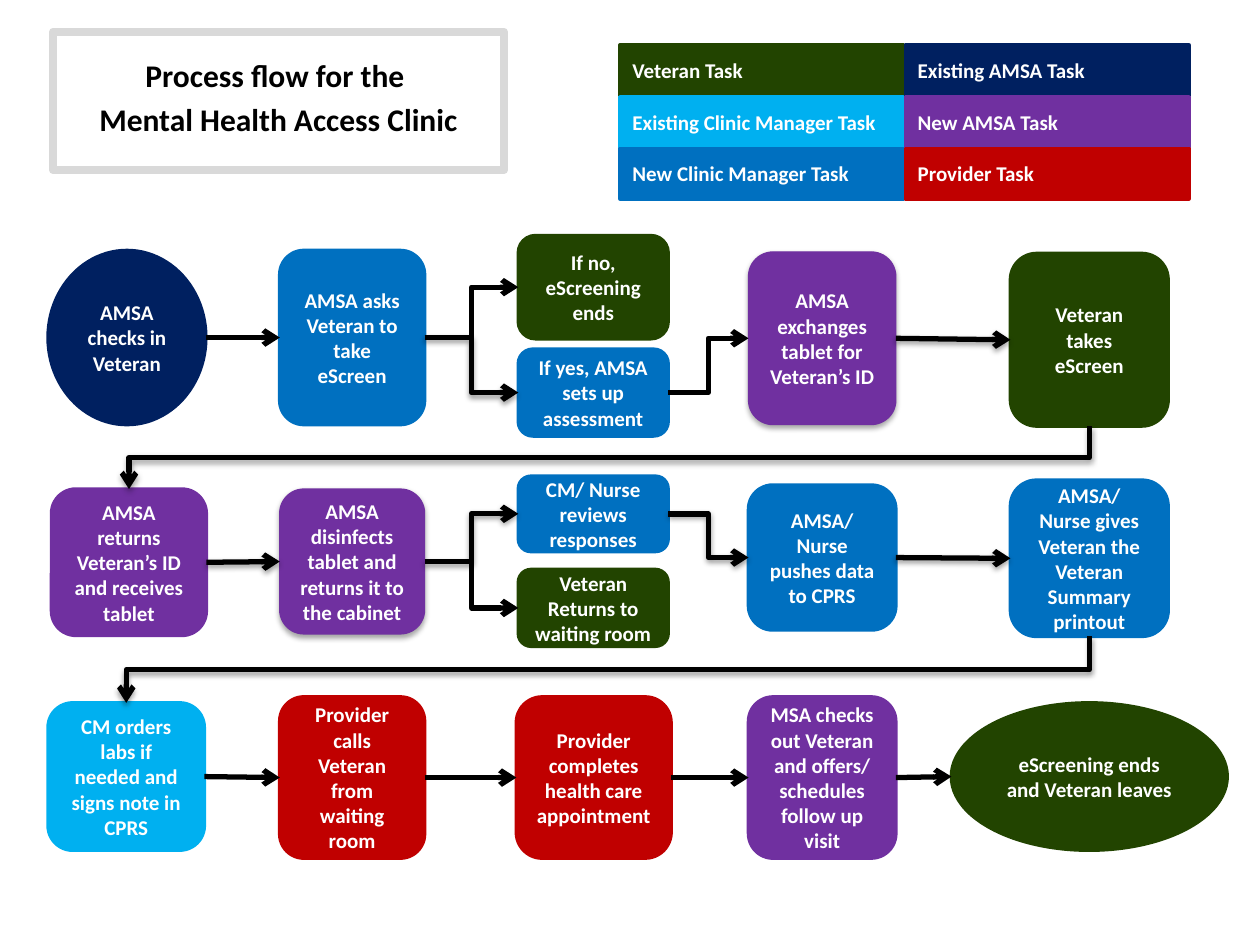
from dataclasses import dataclass

from lxml import etree
from pptx import Presentation
from pptx.dml.color import RGBColor
from pptx.enum.shapes import MSO_CONNECTOR, MSO_SHAPE
from pptx.enum.text import MSO_ANCHOR, MSO_AUTO_SIZE, PP_ALIGN
from pptx.oxml.ns import qn
from pptx.util import Cm, Pt

RECT, ROUND, OVAL = MSO_SHAPE.RECTANGLE, MSO_SHAPE.ROUNDED_RECTANGLE, MSO_SHAPE.OVAL
STRAIGHT, ELBOW = MSO_CONNECTOR.STRAIGHT, MSO_CONNECTOR.ELBOW
LEFT, CENTER = PP_ALIGN.LEFT, PP_ALIGN.CENTER
TOP_ANCHOR, MIDDLE = MSO_ANCHOR.TOP, MSO_ANCHOR.MIDDLE
NO_FIT = MSO_AUTO_SIZE.NONE
TOP, WEST, BOTTOM, EAST = range(4)


@dataclass(frozen=True)
class Theme:
    """Colours, font and type sizes of the slide."""
    veteran: str = "224400"
    old_amsa: str = "002060"
    new_amsa: str = "7030A0"
    old_manager: str = "00B0F0"
    new_manager: str = "0070C0"
    provider: str = "C00000"
    ink: str = "000000"
    paper: str = "FFFFFF"
    frame: str = "D9D9D9"
    font: str = "Calibri"
    title_size: int = 18
    label_size: int = 12


THEME = Theme()

LEGEND = [
    [("Veteran Task", THEME.veteran), ("Existing AMSA Task", THEME.old_amsa)],
    [("Existing Clinic Manager Task", THEME.old_manager), ("New AMSA Task", THEME.new_amsa)],
    [("New Clinic Manager Task", THEME.new_manager), ("Provider Task", THEME.provider)],
]

STEPS = {
    "check_in": (OVAL, 0.97, 5.05, 3.18, 3.51, THEME.old_amsa, "AMSA checks in Veteran"),
    "ask": (ROUND, 5.64, 5.05, 2.92, 3.51, THEME.new_manager, "AMSA asks Veteran to take eScreen"),
    "no": (ROUND, 10.45, 4.75, 3.02, 2.08, THEME.veteran, "If no, eScreening ends"),
    "yes": (ROUND, 10.45, 7.04, 3.02, 1.75, THEME.new_manager, "If yes, AMSA sets up assessment"),
    "exchange": (ROUND, 15.09, 5.08, 2.97, 3.48, THEME.new_amsa,
                 "AMSA exchanges tablet for Veteran’s ID"),
    "take": (ROUND, 20.37, 5.11, 3.18, 3.48, THEME.veteran, "Veteran takes eScreen"),
    "return": (ROUND, 1.04, 9.86, 3.12, 2.95, THEME.new_amsa,
               "AMSA returns Veteran’s ID and receives tablet"),
    "disinfect": (ROUND, 5.64, 9.86, 2.92, 2.92, THEME.new_amsa,
                  "AMSA disinfects tablet and returns it to the cabinet"),
    "review": (ROUND, 10.45, 9.6, 3.02, 1.52, THEME.new_manager, "CM/ Nurse reviews responses"),
    "wait": (ROUND, 10.45, 11.48, 3.02, 1.55, THEME.veteran, "Veteran Returns to waiting room"),
    "push": (ROUND, 15.09, 9.78, 2.97, 2.92, THEME.new_manager, "AMSA/ Nurse pushes data to CPRS"),
    "summary": (ROUND, 20.37, 9.68, 3.18, 3.15, THEME.new_manager,
                "AMSA/ Nurse gives Veteran the Veteran Summary printout"),
    "labs": (ROUND, 0.97, 14.17, 3.15, 2.97, THEME.old_manager,
             "CM orders labs if needed and signs note in CPRS"),
    "call": (ROUND, 5.64, 14.05, 2.92, 3.25, THEME.provider,
             "Provider calls Veteran from waiting room"),
    "complete": (ROUND, 10.41, 14.05, 3.12, 3.25, THEME.provider,
                 "Provider completes health care appointment"),
    "check_out": (ROUND, 15.09, 14.05, 2.97, 3.25, THEME.new_amsa,
                  "MSA checks out Veteran and offers/ schedules follow up visit"),
    "leave": (OVAL, 19.18, 14.17, 5.56, 2.97, THEME.veteran, "eScreening ends and Veteran leaves"),
}
SHADED_STEPS = {"exchange", "disinfect"}

FLOWS = [
    ("check_in", "ask", STRAIGHT, False),
    ("ask", "no", ELBOW, False),
    ("ask", "yes", ELBOW, True),
    ("yes", "exchange", ELBOW, False),
    ("exchange", "take", STRAIGHT, True),
    ("return", "disinfect", STRAIGHT, True),
    ("disinfect", "review", ELBOW, True),
    ("disinfect", "wait", ELBOW, False),
    ("review", "push", ELBOW, True),
    ("push", "summary", STRAIGHT, True),
    ("labs", "call", STRAIGHT, False),
    ("call", "complete", STRAIGHT, False),
    ("complete", "check_out", STRAIGHT, False),
    ("check_out", "leave", STRAIGHT, False),
]
ROW_CHANGES = [("take", "return"), ("summary", "labs")]


def colour(code):
    """Turn a hex code into a colour."""
    return RGBColor.from_string(code)


def paint(shape, fill, line, width):
    """Set the fill and outline of a shape."""
    shape.fill.solid()
    shape.fill.fore_color.rgb = colour(fill)
    shape.line.color.rgb = colour(line)
    shape.line.width = Pt(width)


def add_span(para, text, size, ink):
    """Add one bold run to a paragraph."""
    span = para.add_run()
    span.text = text
    span.font.name = THEME.font
    span.font.size = Pt(size)
    span.font.bold = True
    span.font.color.rgb = colour(ink)


def add_shadow(effects, distance, opacity):
    """Put a soft downward shadow into an effect list."""
    shadow = etree.SubElement(effects, qn("a:outerShdw"), blurRad="40000", dist=str(distance),
                              dir="5400000", rotWithShape="0")
    tint = etree.SubElement(shadow, qn("a:srgbClr"), val=THEME.ink)
    etree.SubElement(tint, qn("a:alpha"), val=str(opacity * 1000))


def add_box(page, kind, left, top, width, height, fill, text, align=CENTER, shaded=False):
    """Add a filled shape with a white label."""
    box = page.shapes.add_shape(kind, Cm(left), Cm(top), Cm(width), Cm(height))
    paint(box, fill, fill, 0.75 if shaded else 2)
    box.shadow.inherit = False
    if shaded:
        add_shadow(box.element.spPr.find(qn("a:effectLst")), 23000, 35)
    box.text_frame.word_wrap = True
    box.text_frame.vertical_anchor = MIDDLE
    para = box.text_frame.paragraphs[0]
    para.alignment = align
    add_span(para, text, THEME.label_size, THEME.paper)
    return box


def side_point(box, side):
    """Return the middle of one side of a box."""
    across = {WEST: 0, EAST: box.width}.get(side, box.width // 2)
    down = {TOP: 0, BOTTOM: box.height}.get(side, box.height // 2)
    return box.left + across, box.top + down


def add_arrow(page, kind, source, target, sides, shaded):
    """Add an arrow between two boxes, joined to those that are rectangles."""
    start, end = side_point(source, sides[0]), side_point(target, sides[1])
    arrow = page.shapes.add_connector(kind, *start, *end)
    if source.auto_shape_type == ROUND:
        arrow.begin_connect(source, sides[0])
    if target.auto_shape_type == ROUND:
        arrow.end_connect(target, sides[1])
    arrow.line.color.rgb = colour(THEME.ink)
    arrow.line.width = Pt(3)
    properties = arrow.element.spPr
    etree.SubElement(properties.find(qn("a:ln")), qn("a:tailEnd"), type="arrow")
    effects = etree.SubElement(properties, qn("a:effectLst"))
    if shaded:
        add_shadow(effects, 20000, 38)
    return arrow


def add_row_change(page, source, target):
    """Add an elbow arrow that leaves downwards and enters from above."""
    arrow = add_arrow(page, ELBOW, source, target, (BOTTOM, TOP), True)
    (right, top), (left, bottom) = side_point(source, BOTTOM), side_point(target, TOP)
    run, drop = right - left, bottom - top
    arrow.left, arrow.top = (left + right - drop) // 2, (top + bottom - run) // 2
    arrow.width, arrow.height = drop, run
    frame = arrow.element.spPr.find(qn("a:xfrm"))
    frame.set("rot", "5400000")
    frame.set("flipH", "0")


def set_title(page):
    """Place and format the framed title."""
    title = page.shapes.title
    title.left, title.top, title.width, title.height = Cm(1.07), Cm(0.64), Cm(9.09), Cm(2.79)
    paint(title, THEME.paper, THEME.frame, 4.5)
    text = title.text_frame
    text.word_wrap = True
    text.auto_size = NO_FIT
    text.vertical_anchor = TOP_ANCHOR
    text.margin_top = Cm(0.38)
    para = text.paragraphs[0]
    para.alignment = CENTER
    para.line_spacing = 1.15
    para.space_after = Pt(10)
    add_span(para, "Process flow for the ", THEME.title_size, THEME.ink)
    para.add_line_break()
    add_span(para, "Mental Health Access Clinic", THEME.title_size, THEME.ink)


def add_legend(page):
    """Add the colour key as a grid of labels."""
    for row, entries in enumerate(LEGEND):
        for column, (text, fill) in enumerate(entries):
            add_box(page, RECT, 12.5 + 5.75 * column, 0.91 + 1.04 * row, 5.72, 1.02,
                    fill, text, LEFT)


def main():
    """Build the process flow slide."""
    deck = Presentation()
    deck.slide_width, deck.slide_height = Cm(25.4), Cm(19.05)
    page = deck.slides.add_slide(deck.slide_layouts[5])
    set_title(page)
    add_legend(page)
    boxes = {name: add_box(page, *step, shaded=name in SHADED_STEPS)
             for name, step in STEPS.items()}
    for source, target, kind, shaded in FLOWS:
        add_arrow(page, kind, boxes[source], boxes[target], (EAST, WEST), shaded)
    for source, target in ROW_CHANGES:
        add_row_change(page, boxes[source], boxes[target])
    deck.save("out.pptx")


if __name__ == "__main__":
    main()
